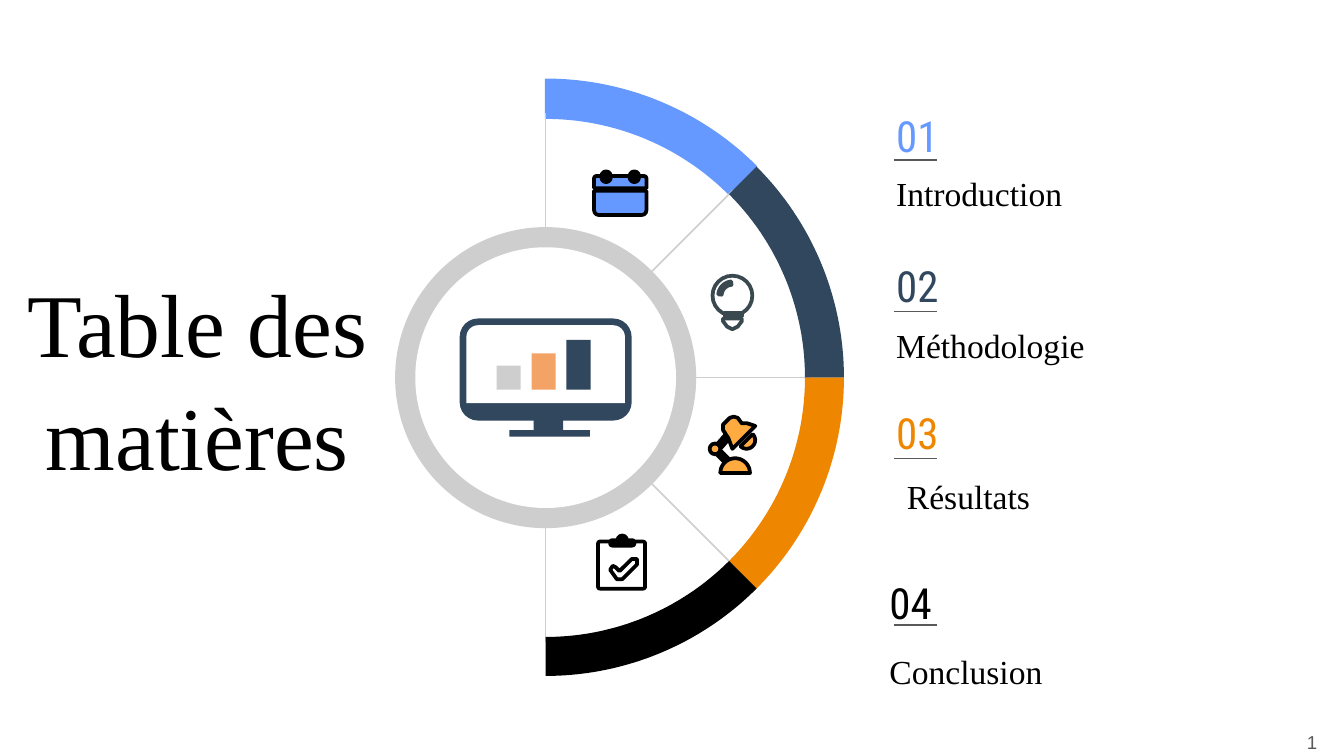
"""Build a table of contents slide around a half wheel of four coloured sectors."""
from dataclasses import dataclass
from math import cos, radians, sin

from lxml.etree import SubElement
from pptx import Presentation
from pptx.dml.color import RGBColor
from pptx.enum.shapes import MSO_CONNECTOR, MSO_SHAPE
from pptx.enum.text import MSO_ANCHOR, MSO_AUTO_SIZE, PP_ALIGN
from pptx.oxml.ns import qn
from pptx.util import Inches, Pt

COLUMNS, ROWS = 100, 56.25
CENTRE = (40.6, 28.1)
INNER, OUTER = 19.3, 22.2


@dataclass(frozen=True)
class Theme:
    """Colours, fonts and type sizes of the slide."""
    blue: str = "6699FF"
    navy: str = "30475E"
    orange: str = "EF8600"
    black: str = "000000"
    white: str = "FFFFFF"
    silver: str = "CECECE"
    peach: str = "F2A365"
    amber: str = "FFAB40"
    slate: str = "3A4950"
    grey: str = "595959"
    serif: str = "Times New Roman"
    condensed: str = "Roboto Condensed"
    sans: str = "Arial"
    title_size: int = 48
    number_size: int = 23
    entry_size: int = 18
    page_size: int = 10
    icon_line: float = 2
    thin_line: float = 0.75


def polar(centre, radius, angle):
    """Return the point at a clockwise angle around a centre."""
    turn = radians(angle)
    return centre[0] + radius * cos(turn), centre[1] + radius * sin(turn)


class SlideBuilder:
    """Draw styled elements on one slide, measured in grid cells."""

    def __init__(self, deck, theme):
        """Add a title-only slide and keep the grid cell size."""
        self.theme = theme
        self.cell = deck.slide_width / COLUMNS
        self.page = deck.slides.add_slide(deck.slide_layouts[5])

    def grid(self, *lengths):
        """Convert grid cells to slide units."""
        return [round(length * self.cell) for length in lengths]

    def paint(self, shape, fill, line=None, width=None):
        """Set the fill and outline of a shape."""
        shape.shadow.inherit = False
        shape.fill.solid()
        shape.fill.fore_color.rgb = RGBColor.from_string(fill)
        if line:
            shape.line.color.rgb = RGBColor.from_string(line)
            shape.line.width = Pt(width or self.theme.icon_line)
        else:
            shape.line.fill.background()

    def shape(self, kind, area, fill, line=None, corner=None, turn=0):
        """Add a preset shape."""
        shape = self.page.shapes.add_shape(kind, *self.grid(*area))
        if corner is not None:
            shape.adjustments[0] = corner
        shape.rotation = turn
        self.paint(shape, fill, line)

    def disc(self, centre, radius, fill, line=None):
        """Add a circle around a centre."""
        area = (centre[0] - radius, centre[1] - radius, 2 * radius, 2 * radius)
        self.shape(MSO_SHAPE.OVAL, area, fill, line)

    def polygon(self, points, fill, line=None, width=None):
        """Add a closed outline through the points."""
        start, *others = [self.grid(*point) for point in points]
        builder = self.page.shapes.build_freeform(*start)
        builder.add_line_segments(others, close=True)
        self.paint(builder.convert_to_shape(), fill, line, width)

    def sector(self, centre, radii, start, end, fill, line=None, width=None):
        """Add a ring sector between two angles."""
        angles = [start + (end - start) * step / 45 for step in range(46)]
        inside = [polar(centre, radii[0], angle) for angle in angles]
        outside = [polar(centre, radii[1], angle) for angle in reversed(angles)]
        self.polygon(inside + outside, fill, line, width)

    def line(self, start, end, color, width):
        """Add a straight connector."""
        line = self.page.shapes.add_connector(
            MSO_CONNECTOR.STRAIGHT, *self.grid(*start, *end))
        line.line.color.rgb = RGBColor.from_string(color)
        line.line.width = Pt(width)
        SubElement(line._element.spPr, qn("a:effectLst"))

    def fill_text(self, box, text, size, font, color, align, anchor):
        """Fill a box with one styled run."""
        frame = box.text_frame
        frame.word_wrap = True
        frame.auto_size = MSO_AUTO_SIZE.NONE
        frame.vertical_anchor = anchor
        frame.margin_left = frame.margin_right = Inches(0.1)
        frame.margin_top = frame.margin_bottom = Inches(0.1)
        para = frame.paragraphs[0]
        para.alignment = align
        span = para.add_run()
        span.text = text
        span.font.size = Pt(size)
        span.font.name = font
        span.font.color.rgb = RGBColor.from_string(color)
        return para

    def text(self, area, text, size, font, color,
             align=PP_ALIGN.LEFT, anchor=MSO_ANCHOR.MIDDLE):
        """Add a text box."""
        box = self.page.shapes.add_textbox(*self.grid(*area))
        self.fill_text(box, text, size, font, color, align, anchor)

    def title(self, area, text):
        """Move and fill the title placeholder."""
        box = self.page.shapes.title
        box.left, box.top, box.width, box.height = self.grid(*area)
        para = self.fill_text(box, text, self.theme.title_size, self.theme.serif,
                              self.theme.black, PP_ALIGN.CENTER, MSO_ANCHOR.MIDDLE)
        para.line_spacing = 1.05

    def monitor(self):
        """Draw the screen with its bar chart."""
        theme = self.theme
        self.shape(MSO_SHAPE.ROUNDED_RECTANGLE, (34.2, 23.7, 12.8, 7.6), theme.navy, corner=0.18)
        self.shape(MSO_SHAPE.ROUND_2_SAME_RECTANGLE, (34.7, 24.2, 11.8, 5.8), theme.white, corner=0.15)
        for area in ((39.7, 30.2, 2.2, 2.1), (37.9, 32, 6, 0.5)):
            self.shape(MSO_SHAPE.RECTANGLE, area, theme.navy)
        bars = ((1.8, theme.silver), (2.7, theme.peach), (3.7, theme.navy))
        for index, (height, color) in enumerate(bars):
            area = (36.95 + 2.6 * index, 29 - height, 1.8, height)
            self.shape(MSO_SHAPE.RECTANGLE, area, color)

    def calendar(self):
        """Draw the calendar icon."""
        theme = self.theme
        for top, height, turn in ((13.1, 0.9, 0), (14.2, 1.8, 180)):
            self.shape(MSO_SHAPE.ROUND_2_SAME_RECTANGLE, (44.2, top, 3.9, height),
                       theme.blue, theme.black, 0.2, turn)
        for left in (44.75, 46.85):
            self.shape(MSO_SHAPE.ROUNDED_RECTANGLE, (left, 12.75, 0.7, 0.8),
                       theme.black, theme.black, 0.5)

    def bulb(self):
        """Draw the light bulb icon."""
        theme = self.theme
        self.disc((54.5, 22), 1.48, theme.white, theme.slate)
        self.sector((54.5, 22), (0.8, 1.05), 185, 265, theme.slate, theme.slate, theme.icon_line)
        self.shape(MSO_SHAPE.RECTANGLE, (53.9, 23.3, 1.3, 0.2), theme.slate, theme.slate)
        self.polygon(((53.8, 23.7), (53.8, 23.9), (54.1, 24.3), (54.5, 24.5),
                      (54.9, 24.3), (55.2, 23.9), (55.2, 23.7)), theme.white, theme.slate)

    def lamp(self):
        """Draw the desk lamp icon."""
        theme = self.theme
        for start, end in (((53.5, 33.2), (54.2, 32.4)), ((53.5, 33.7), (54.1, 34.3))):
            self.line(start, end, theme.black, 5)
        self.disc((53.2, 33.4), 0.4, theme.amber, theme.black)
        self.sector((54.7, 35.2), (0, 1.1), 180, 360, theme.amber, theme.black)
        self.sector((55.55, 32.75), (0, 0.64), -45, 135, theme.amber, theme.black)
        self.polygon(((54.6, 31), (54.9, 31.1), (55.2, 31.5), (55.6, 31.5), (56.2, 31.7),
                      (54.5, 33.4), (54.2, 32.6), (53.8, 32), (53.8, 31.6), (54.3, 31.1)),
                     theme.amber, theme.black)

    def clipboard(self):
        """Draw the checked clipboard icon."""
        theme = self.theme
        self.shape(MSO_SHAPE.ROUNDED_RECTANGLE, (44.5, 40.3, 3.5, 3.5), theme.white, theme.black, 0.04)
        self.disc((46.3, 40.2), 0.35, theme.black, theme.black)
        self.shape(MSO_SHAPE.ROUNDED_RECTANGLE, (45.4, 40.2, 1.8, 0.4), theme.black, theme.black, 0.4)
        self.polygon(((45.4, 42.4), (45.6, 42.1), (45.8, 42.2), (46.1, 42.5), (47, 41.6),
                      (47.4, 41.6), (47.4, 42), (46.3, 43.1), (45.9, 43.1)), theme.white, theme.black)


def main():
    """Compose the slide and save it."""
    deck = Presentation()
    deck.slide_width, deck.slide_height = Inches(COLUMNS / 10), Inches(ROWS / 10)
    theme = Theme()
    slide = SlideBuilder(deck, theme)
    slide.title((0, 14.4, 29.4, 27.1), "Table des matières")

    slide.sector(CENTRE, (INNER, OUTER), -90, -45, theme.blue, theme.blue, theme.thin_line)
    slide.disc(CENTRE, 11.2, theme.silver)
    slide.disc(CENTRE, 9.7, theme.white)
    slide.monitor()
    for angle in range(-90, 91, 45):
        slide.line(polar(CENTRE, 10.8, angle), polar(CENTRE, 19.7, angle), theme.silver, 0.81)
    for index, color in enumerate((theme.navy, theme.orange, theme.black)):
        start = 45 * index - 45
        slide.sector(CENTRE, (INNER, OUTER), start, start + 45, color)

    entries = (
        ("01", theme.blue, 65.7, 8.1, 11.9, "Introduction", 65.7, 11.9),
        ("02", theme.navy, 65.7, 19.3, 23.2, "Méthodologie", 65.7, 23.2),
        ("03", theme.orange, 65.7, 30.2, 34.1, "Résultats", 66.5, 34.4),
        ("04", theme.black, 65.2, 42.9, 46.5, "Conclusion", 65.2, 47.4),
    )
    for number, color, left, top, rule, label, label_left, label_top in entries:
        slide.text((left, top, 26.4, 3.9), number, theme.number_size, theme.condensed, color)
        slide.line((66.5, rule), (69.7, rule), theme.grey, theme.thin_line)
        slide.text((label_left, label_top, 31, 5), label, theme.entry_size,
                   theme.serif, theme.black, anchor=MSO_ANCHOR.TOP)

    slide.calendar()
    slide.bulb()
    slide.lamp()
    slide.clipboard()
    slide.text((93, 53.1, 6, 4.3), "1", theme.page_size, theme.sans, theme.grey, PP_ALIGN.RIGHT)
    deck.save("out.pptx")


if __name__ == "__main__":
    main()
